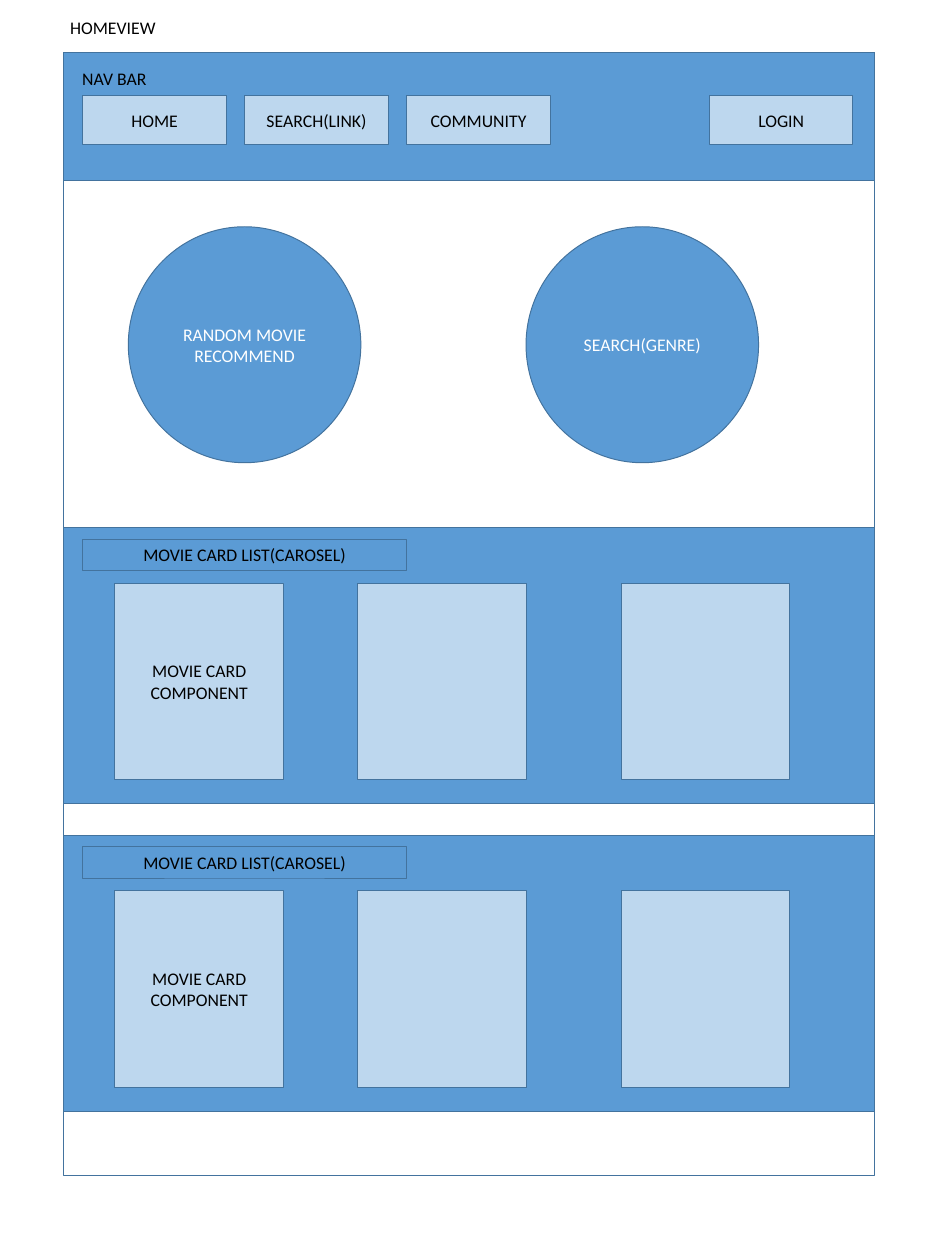
"""Build the wireframe of a movie site's home view."""
from pptx import Presentation
from pptx.dml.color import RGBColor
from pptx.enum.shapes import MSO_SHAPE
from pptx.enum.text import MSO_ANCHOR, PP_ALIGN
from pptx.util import Inches, Pt

RECTANGLE, OVAL = MSO_SHAPE.RECTANGLE, MSO_SHAPE.OVAL
CENTER, LEFT = PP_ALIGN.CENTER, PP_ALIGN.LEFT
MIDDLE, TOP = MSO_ANCHOR.MIDDLE, MSO_ANCHOR.TOP

COLORS = {"white": "FFFFFF", "black": "000000", "blue": "5B9BD5",
          "pale": "BDD7EE", "edge": "43739E"}
FONT, FONT_SIZE = "Calibri", 18

TITLE = "HOMEVIEW"
NAV_TITLE = "NAV BAR"
NAV_LINKS = ["HOME", "SEARCH(LINK)", "COMMUNITY"]
LOGIN = "LOGIN"
CIRCLES = [["RANDOM MOVIE", "RECOMMEND"], ["SEARCH(GENRE)"]]
LIST_TITLE = "MOVIE CARD LIST(CAROSEL)"
CARDS = [(1.62, ["MOVIE CARD", "COMPONENT"]), (5.04, []), (8.76, [])]

PAGE_WIDTH, PAGE_HEIGHT = 13.33, 17.78
FRAME_LEFT, FRAME_TOP, FRAME_WIDTH, FRAME_HEIGHT = 0.89, 0.74, 11.45, 15.85
NAV_HEIGHT = 1.81
CONTENT_LEFT = 1.17
BUTTON_TOP, BUTTON_WIDTH, BUTTON_HEIGHT, BUTTON_STEP = 1.35, 2.02, 0.69, 2.285
LOGIN_LEFT = 10.01
CIRCLE_LEFT, CIRCLE_TOP, CIRCLE_STEP = 1.81, 3.2, 5.61
CIRCLE_WIDTH, CIRCLE_HEIGHT = 3.28, 3.33
LIST_TOPS, LIST_HEIGHT = (7.45, 11.79), 3.89
LIST_TITLE_DROP, LIST_TITLE_WIDTH, LIST_TITLE_HEIGHT = 0.16, 4.56, 0.44
CARD_DROP, CARD_WIDTH, CARD_HEIGHT = 0.78, 2.38, 2.77


def write(frame, lines, color="black", align=CENTER, anchor=MIDDLE, wrap=True):
    """Put each line into its own paragraph of a text frame."""
    frame.word_wrap = wrap
    frame.vertical_anchor = anchor
    for index, line in enumerate(lines):
        para = frame.add_paragraph() if index else frame.paragraphs[0]
        para.alignment = align
        span = para.add_run()
        span.text = line
        span.font.name = FONT
        span.font.size = Pt(FONT_SIZE)
        span.font.color.rgb = RGBColor.from_string(COLORS[color])


def add_block(page, area, fill, lines=(), color="black", kind=RECTANGLE):
    """Add an outlined shape with centred lines of text."""
    block = page.shapes.add_shape(kind, *map(Inches, area))
    block.shadow.inherit = False
    block.fill.solid()
    block.fill.fore_color.rgb = RGBColor.from_string(COLORS[fill])
    block.line.color.rgb = RGBColor.from_string(COLORS["edge"])
    block.line.width = Pt(1)
    write(block.text_frame, lines, color=color)


def add_label(page, area, text, wrap=True):
    """Add a plain left-aligned label."""
    box = page.shapes.add_textbox(*map(Inches, area))
    write(box.text_frame, [text], align=LEFT, anchor=TOP, wrap=wrap)


def add_nav_bar(page):
    """Add the top bar with its links and login button."""
    add_block(page, (FRAME_LEFT, FRAME_TOP, FRAME_WIDTH, NAV_HEIGHT), "blue")
    add_label(page, (1.06, 0.91, 1.12, 0.4), NAV_TITLE, wrap=False)
    buttons = [(CONTENT_LEFT + index * BUTTON_STEP, text)
               for index, text in enumerate(NAV_LINKS)]
    for left, text in buttons + [(LOGIN_LEFT, LOGIN)]:
        add_block(page, (left, BUTTON_TOP, BUTTON_WIDTH, BUTTON_HEIGHT), "pale", [text])


def add_card_list(page, top):
    """Add one carousel band with its title and cards."""
    add_block(page, (FRAME_LEFT, top, FRAME_WIDTH, LIST_HEIGHT), "blue")
    for left, lines in CARDS:
        add_block(page, (left, top + CARD_DROP, CARD_WIDTH, CARD_HEIGHT), "pale", lines)
    title_area = (CONTENT_LEFT, top + LIST_TITLE_DROP, LIST_TITLE_WIDTH, LIST_TITLE_HEIGHT)
    add_block(page, title_area, "blue", [LIST_TITLE])


def main():
    """Build and save the deck."""
    deck = Presentation()
    deck.slide_width, deck.slide_height = Inches(PAGE_WIDTH), Inches(PAGE_HEIGHT)
    page = deck.slides.add_slide(deck.slide_layouts[6])
    add_block(page, (FRAME_LEFT, FRAME_TOP, FRAME_WIDTH, FRAME_HEIGHT), "white")
    add_label(page, (FRAME_LEFT, 0.19, 3.98, 0.4), TITLE)
    add_nav_bar(page)
    for top in LIST_TOPS:
        add_card_list(page, top)
    for index, lines in enumerate(CIRCLES):
        left = CIRCLE_LEFT + index * CIRCLE_STEP
        add_block(page, (left, CIRCLE_TOP, CIRCLE_WIDTH, CIRCLE_HEIGHT), "blue",
                  lines, color="white", kind=OVAL)
    deck.save("out.pptx")


if __name__ == "__main__":
    main()
